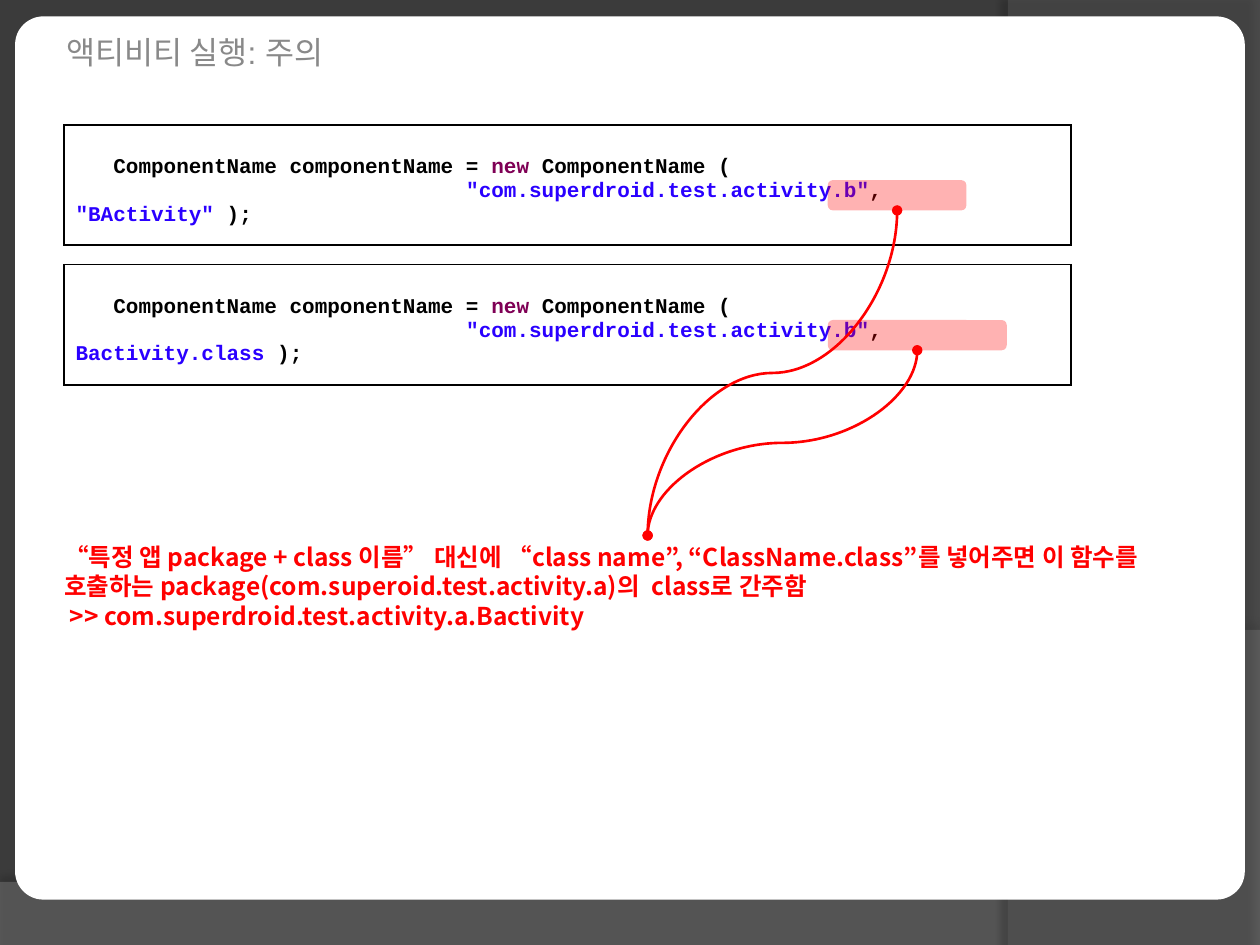
from lxml import etree
from pptx import Presentation
from pptx.dml.color import RGBColor
from pptx.enum import shapes, text
from pptx.oxml.ns import qn
from pptx.util import Inches, Pt

THEME = {
    "back": "3B3B3B", "wave": "7F7F7F", "curve": "5E5E5E", "panel": "FFFFFF",
    "title": "898989", "ink": "000000", "keyword": "7F0055", "literal": "2A00FF",
    "accent": "FF0000",
    "sans": "Arial", "mono": "Courier New", "korean": "Noto Sans CJK KR",
    "title_size": 18, "code_size": 12, "note_size": 14,
}

TITLE = "액티비티 실행: 주의"
NOTE = [
    "“특정 앱 package + class 이름” 대신에 “class name”, “ClassName.class”를 넣어주면 "
    "이 함수를 호출하는 package(com.superoid.test.activity.a)의  class로 간주함",
    " >> com.superdroid.test.activity.a.Bactivity",
]
# class argument, top of the code box, width of its highlight
EXAMPLES = [('"BActivity"', 0.99, 1.1), ("Bactivity.class", 2.1, 1.42)]
NOTE_ANCHOR = (5.14, 4.25)

# start point, then straight points or (control, control, end) curves
WAVE = [(0, 7.05), (0, 7.51), (10, 7.51), (10, 5.2), ((5.59, 7.29), (3.91, 7.19), (0, 7.05))]
CURVE = [(10, 0.02), (10, 7.5), (8.21, 7.5), ((9.35, 6.19), (10.18, 3), (8, 0))]


def rgb(name):
    return RGBColor.from_string(THEME[name])


def child(parent, tag, **attrs):
    return etree.SubElement(parent, qn(tag), {k: str(v) for k, v in attrs.items()})


def paint(sp, color, alpha=100):
    sp.shadow.inherit = False
    sp.line.fill.background()
    sp.fill.solid()
    sp.fill.fore_color.rgb = rgb(color)
    if alpha < 100:
        clr = sp._element.spPr.find(".//" + qn("a:srgbClr"))
        child(clr, "a:alpha", val=alpha * 1000)


def style(r, font, size, color, bold=False):
    r.font.name, r.font.size, r.font.bold = THEME[font], Pt(THEME[size]), bold
    r.font.color.rgb = rgb(color)
    child(r._r.get_or_add_rPr(), "a:ea", typeface=THEME["korean"])


def flatten(points, steps=40):
    """Turn cubic curves into short straight steps."""
    flat = [points[0]]
    for item in points[1:]:
        if not isinstance(item[0], tuple):
            flat.append(item)
            continue
        ctrl = (flat[-1], *item)
        for i in range(1, steps + 1):
            t = i / steps
            weights = ((1 - t) ** 3, 3 * t * (1 - t) ** 2, 3 * t * t * (1 - t), t ** 3)
            flat.append(tuple(sum(w * c[k] for w, c in zip(weights, ctrl)) for k in (0, 1)))
    return flat


def add_backdrop(slide, points, color, alpha, shade, distance, angle):
    flat = flatten(points)
    builder = slide.shapes.build_freeform(*flat[0], scale=Inches(1))
    builder.add_line_segments(flat[1:], close=True)
    sp = builder.convert_to_shape()
    paint(sp, color, alpha)
    shadow = child(sp._element.spPr.find(qn("a:effectLst")), "a:outerShdw",
                   blurRad=Pt(4), dist=Pt(distance), dir=angle * 60000)
    child(child(shadow, "a:srgbClr", val=THEME["ink"]), "a:alpha", val=shade * 1000)


def add_round_rect(slide, box, color, alpha=100):
    sp = slide.shapes.add_shape(shapes.MSO_SHAPE.ROUNDED_RECTANGLE, *map(Inches, box))
    paint(sp, color, alpha)
    return sp


def add_code(slide, argument, top):
    table = slide.shapes.add_table(
        1, 1, Inches(0.51), Inches(top), Inches(7.99), Inches(0.87)).table
    table.first_row = table.horz_banding = False
    cell = table.cell(0, 0)
    cell.fill.solid()
    cell.fill.fore_color.rgb = rgb("panel")
    cell.margin_left = cell.margin_right = Inches(0.09)
    cell.margin_top, cell.margin_bottom = Inches(0.25), Inches(0.14)
    tcPr = cell._tc.get_or_add_tcPr()
    for i, side in enumerate("LRTB"):
        ln = child(tcPr, "a:ln" + side, w=Pt(1))
        child(child(ln, "a:solidFill"), "a:srgbClr", val=THEME["ink"])
        tcPr.insert(i, ln)
    lines = [
        [("   ComponentName componentName = ", "ink"), ("new ", "keyword"),
         ("ComponentName (", "ink")],
        [(" " * 31, "ink"), ('"com.superdroid.test.activity.b"', "literal"), (", ", "ink"),
         (argument, "literal"), (" );", "ink")],
    ]
    tf = cell.text_frame
    for i, line in enumerate(lines):
        p = tf.add_paragraph() if i else tf.paragraphs[0]
        for words, color in line:
            r = p.add_run()
            r.text = words
            style(r, "mono", "code_size", color, True)


def add_curve(slide, start, end):
    """S-curve that leaves and arrives vertically: a curved connector turned by 90 degrees."""
    (x1, y1), (x2, y2) = start, end
    cx, cy = (x1 + x2) / 2, (y1 + y2) / 2
    half_w, half_h = (y2 - y1) / 2, (x1 - x2) / 2
    line = slide.shapes.add_connector(
        shapes.MSO_CONNECTOR.CURVE,
        *map(Inches, (cx - half_w, cy - half_h, cx + half_w, cy + half_h)))
    line.line.color.rgb = rgb("accent")
    line.line.width = Pt(1.5)
    spPr = line._element.spPr
    spPr.find(qn("a:xfrm")).set("rot", str(90 * 60000))
    for tag in ("a:headEnd", "a:tailEnd"):
        child(spPr.find(qn("a:ln")), tag, type="oval")
    child(spPr, "a:effectLst")


def add_title(slide):
    title = slide.shapes.title
    slide.shapes._spTree.append(title._element)  # in front of the panel
    title.left, title.top, title.width, title.height = map(Inches, (0.43, 0.21, 4.88, 0.4))
    tf = title.text_frame
    tf.text = TITLE
    tf.vertical_anchor = text.MSO_ANCHOR.TOP
    tf.paragraphs[0].alignment = text.PP_ALIGN.LEFT
    style(tf.paragraphs[0].runs[0], "sans", "title_size", "title")


def add_note(slide):
    tf = slide.shapes.add_textbox(*map(Inches, (0.41, 4.25, 9.45, 0.81))).text_frame
    tf.word_wrap = True
    for i, words in enumerate(NOTE):
        p = tf.add_paragraph() if i else tf.paragraphs[0]
        p.text = words
        style(p.runs[0], "korean", "note_size", "accent", True)


def main():
    prs = Presentation()
    prs.slide_width, prs.slide_height = Inches(10), Inches(7.5)
    slide = prs.slides.add_slide(prs.slide_layouts[5])
    slide.background.fill.solid()
    slide.background.fill.fore_color.rgb = rgb("back")
    add_backdrop(slide, WAVE, "wave", 45, 35, 3.5, 270)
    add_backdrop(slide, CURVE, "curve", 40, 45, 4, 180)
    add_round_rect(slide, (0.12, 0.13, 9.76, 7.01), "panel").adjustments[0] = 0.032
    add_title(slide)
    for argument, top, _ in EXAMPLES:
        add_code(slide, argument, top)
    for _, top, width in EXAMPLES:
        mark = (6.57, top + 0.44, width, 0.24)
        add_round_rect(slide, mark, "accent", 30)
        add_curve(slide, (mark[0] + width / 2, mark[1] + mark[3]), NOTE_ANCHOR)
    add_note(slide)
    prs.save("out.pptx")


if __name__ == "__main__":
    main()
